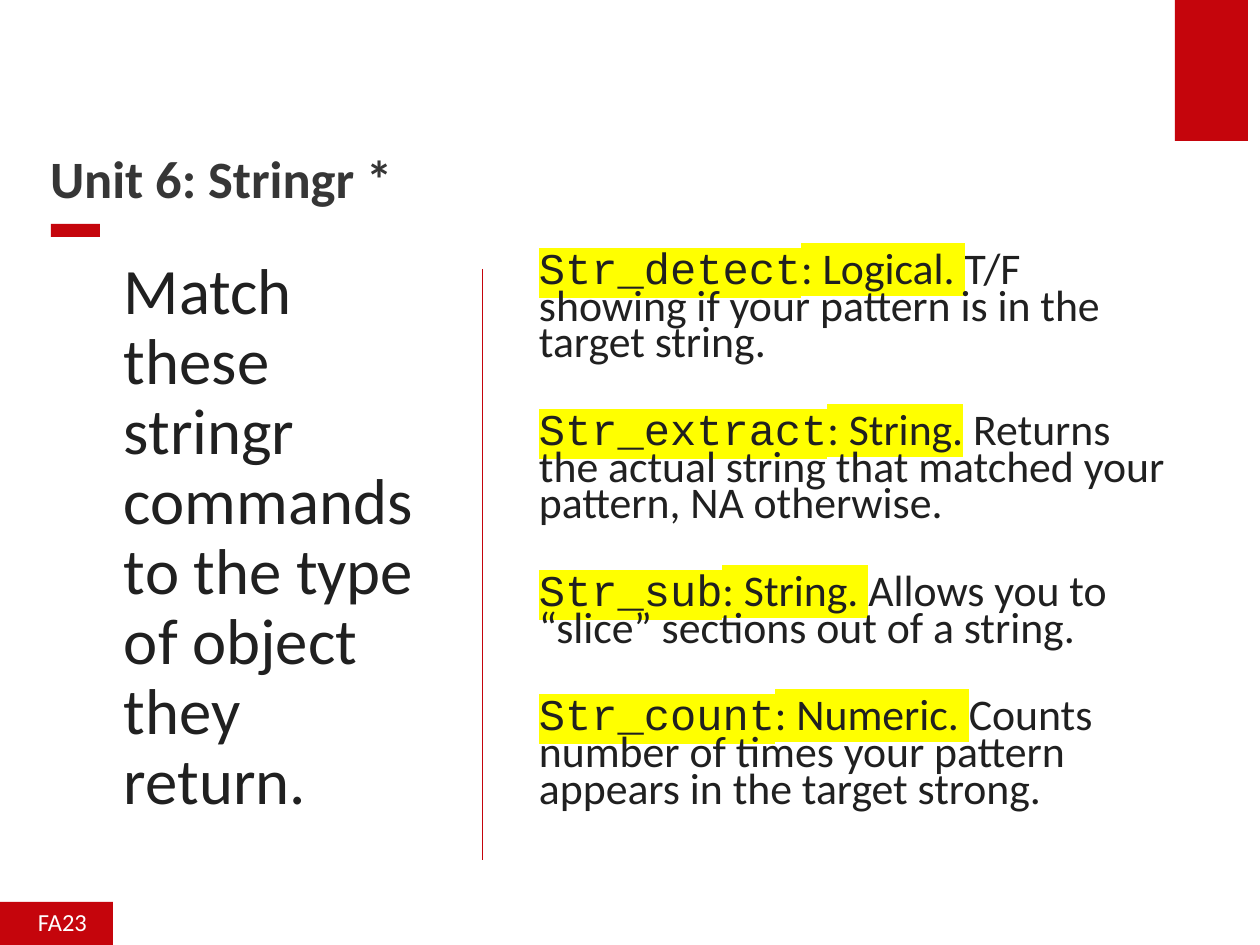
from dataclasses import dataclass

from lxml import etree
from pptx import Presentation
from pptx.dml.color import RGBColor
from pptx.enum import shapes, text
from pptx.oxml import ns
from pptx.util import Pt

PX = 914400 / 126


@dataclass(frozen=True)
class Theme:
    red: str = "C5050C"
    ink: str = "202020"
    heading: str = "363636"
    white: str = "FFFFFF"
    marker: str = "FFFF00"
    sans: str = "Calibri"
    mono: str = "Courier New"
    title_size: int = 30
    prompt_size: int = 37
    answer_size: int = 25
    footer_size: int = 14


THEME = Theme()

ANSWERS = [
    ("Str_detect", ": Logical. ", "T/F showing if your pattern is in the target string."),
    ("Str_extract", ": String.", " Returns the actual string that matched your pattern, NA otherwise."),
    ("Str_sub", ": String. ", "Allows you to “slice” sections out of a string."),
    ("Str_count", ": Numeric. ", "Counts number of times your pattern appears in the target strong."),
]


def emu(*lengths):
    return [round(length * PX) for length in lengths]


def add_bar(page, left, top, width, height):
    bar = page.shapes.add_shape(shapes.MSO_SHAPE.RECTANGLE, *emu(left, top, width, height))
    bar.shadow.inherit = False
    bar.fill.solid()
    bar.fill.fore_color.rgb = RGBColor.from_string(THEME.red)
    bar.line.fill.background()
    return bar


def set_frame(box, insets, anchor, wrap=True):
    frame = box.text_frame
    frame.word_wrap = wrap
    frame.vertical_anchor = anchor
    frame.margin_left, frame.margin_top, frame.margin_right, frame.margin_bottom = emu(*insets)
    return frame


def add_text(page, bounds, insets=(0, 6, 13, 6), anchor=text.MSO_ANCHOR.TOP):
    return set_frame(page.shapes.add_textbox(*emu(*bounds)), insets, anchor)


def set_para(para, spacing, before=0, indent=0):
    para.alignment = text.PP_ALIGN.LEFT
    para.line_spacing = spacing
    para.space_before = Pt(before)
    if indent:
        para._p.get_or_add_pPr().set("marL", str(emu(indent)[0]))
    return para


def add_span(para, words, size, color, font=THEME.sans, bold=False, marked=False):
    span = para.add_run()
    span.text = words
    span.font.size = Pt(size)
    span.font.name = font
    span.font.bold = bold
    span.font.color.rgb = RGBColor.from_string(color)
    if marked:
        highlight = etree.Element(ns.qn("a:highlight"))
        etree.SubElement(highlight, ns.qn("a:srgbClr"), val=THEME.marker)
        span._r.get_or_add_rPr().find(ns.qn("a:solidFill")).addnext(highlight)


def add_answers(page):
    frame = add_text(page, (491, 249, 693, 612))
    for index, (command, kind, meaning) in enumerate(ANSWERS):
        para = frame.add_paragraph() if index else frame.paragraphs[0]
        set_para(para, 0.7, before=29 if index else 3.8, indent=48)
        add_span(para, command, THEME.answer_size, THEME.ink, THEME.mono, marked=True)
        add_span(para, kind, THEME.answer_size, THEME.ink, marked=True)
        add_span(para, meaning, THEME.answer_size, THEME.ink)


def add_divider(page, x, top, bottom):
    divider = page.shapes.add_connector(
        shapes.MSO_CONNECTOR.STRAIGHT, *emu(x, top, x, bottom))
    divider.line.color.rgb = RGBColor.from_string(THEME.red)
    divider.line.width = Pt(0.5)
    etree.SubElement(divider._element.spPr, ns.qn("a:effectLst"))


def main():
    deck = Presentation()
    deck.slide_width, deck.slide_height = emu(1260, 945)
    page = deck.slides.add_slide(deck.slide_layouts[6])

    add_bar(page, 1175, 0, 73, 141)
    add_bar(page, 51, 224, 49, 13)

    title = add_text(page, (50, 63, 1103, 147), (0, 6, 13, 0), text.MSO_ANCHOR.BOTTOM)
    add_span(set_para(title.paragraphs[0], 0.9), "Unit 6: Stringr *",
             THEME.title_size, THEME.heading, bold=True)

    prompt = add_text(page, (76, 253, 367, 612))
    add_span(set_para(prompt.paragraphs[0], 0.9, before=3.8, indent=48),
             "Match these stringr commands to the type of object they return.",
             THEME.prompt_size, THEME.ink)

    footer = set_frame(add_bar(page, 0, 902, 113, 48), (38, 9, 25, 13),
                       text.MSO_ANCHOR.MIDDLE, wrap=False)
    add_span(set_para(footer.paragraphs[0], 0.9, before=7.5), "FA23",
             THEME.footer_size, THEME.white)

    add_answers(page)
    add_divider(page, 482, 269, 860)
    deck.save("out.pptx")


if __name__ == "__main__":
    main()
